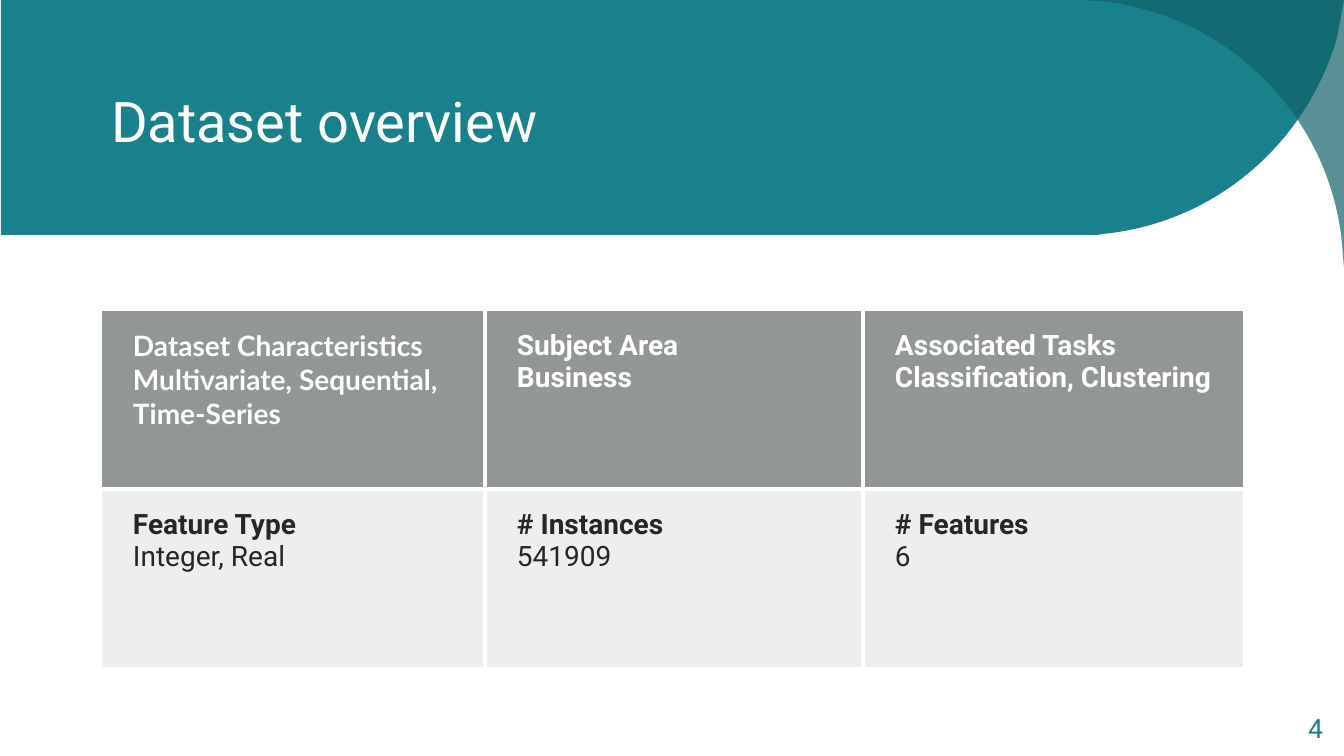
from lxml import etree
from pptx import Presentation
from pptx.dml.color import RGBColor
from pptx.enum.text import MSO_ANCHOR, MSO_AUTO_SIZE, PP_ALIGN
from pptx.oxml.ns import qn
from pptx.util import Pt

PX = 914400 / 100.8
MID, TOP = MSO_ANCHOR.MIDDLE, MSO_ANCHOR.TOP
LEFT, RIGHT = PP_ALIGN.LEFT, PP_ALIGN.RIGHT
NONE = MSO_AUTO_SIZE.NONE
HUE = {"teal": "18818C", "deep": "126169", "white": "FFFFFF",
       "ink": "262626", "head": "929795", "pale": "EDEEEE"}


def px(*nums):
    return [round(n * PX) for n in nums]


def write(frame, *lines, size=20, hue="white", font="Roboto",
          bold=(False, False), align=LEFT, anchor=TOP):
    """Fill a text frame with one paragraph per line; bold holds a flag per line."""
    frame.word_wrap = True
    frame.vertical_anchor = anchor
    for i, line in enumerate(lines):
        para = frame.paragraphs[0] if i == 0 else frame.add_paragraph()
        para.alignment = align
        run = para.add_run()
        run.text = line
        run.font.size = Pt(size)
        run.font.name = font
        run.font.bold = bold[i]
        run.font.color.rgb = RGBColor.from_string(HUE[hue])


deck = Presentation()
deck.slide_width, deck.slide_height = px(1344, 756)
slide = deck.slides.add_slide(deck.slide_layouts[5])

# Header shapes: straight corners, then one Bezier arc from the last corner
STEPS = 32
WAVES = [
    ("teal", 100, [(1344, 0), (1, 0), (1, 235), (1097, 235), (1103, 234)],
     [(1215, 223), (1306, 144), (1337, 38)]),
    ("deep", 70, [(1084, 0), (1344, 0), (1344, 268), (1342, 242)],
     [(1329, 115), (1227, 13), (1099, 1)]),
]
for hue, alpha, dots, bend in WAVES:
    a, b, c, d = dots[-1], *bend
    arc = []
    for k in range(1, STEPS + 1):
        t = k / STEPS
        u = 1 - t
        arc.append([u**3 * a[i] + 3 * u * u * t * b[i]
                    + 3 * u * t * t * c[i] + t**3 * d[i] for i in (0, 1)])
    path = [px(*dot) for dot in dots + arc]
    pen = slide.shapes.build_freeform(*path[0], scale=1.0)
    pen.add_line_segments(path[1:], close=True)
    wave = pen.convert_to_shape()
    wave.shadow.inherit = False
    wave.fill.solid()
    wave.fill.fore_color.rgb = RGBColor.from_string(HUE[hue])
    wave.line.fill.background()
    if alpha < 100:
        tint = wave.fill._xPr.find(qn("a:solidFill"))[0]
        etree.SubElement(tint, qn("a:alpha"), val=str(alpha * 1000))

title = slide.shapes.title
title.left, title.top, title.width, title.height = px(101, 49, 1093, 143)
title.text_frame.auto_size = NONE
write(title.text_frame, "Dataset overview", size=40, anchor=MID)
tree = slide.shapes._spTree
tree.remove(title._element)
tree.append(title._element)

page = slide.shapes.add_textbox(*px(1256, 710, 77, 40))
write(page.text_frame, "4", size=19, hue="teal", align=RIGHT, anchor=MID)
page.text_frame.paragraphs[0].line_spacing = 0.9
page.text_frame.paragraphs[0].space_after = Pt(6)

# Dataset facts
FACTS = [
    [("Dataset Characteristics", "Multivariate, Sequential, Time-Series"),
     ("Subject Area", "Business"),
     ("Associated Tasks", "Classification, Clustering")],
    [("Feature Type", "Integer, Real"),
     ("# Instances", "541909"),
     ("# Features", "6")],
]
LOOKS = [("head", "white", (True, True)), ("pale", "ink", (True, False))]
WIDTHS = px(384, 378, 381)
grid = slide.shapes.add_table(2, 3, *px(101, 310, 1143, 358)).table
grid.horz_banding = False
for col, wide in zip(grid.columns, WIDTHS):
    col.width = wide
for r, (row, look) in enumerate(zip(FACTS, LOOKS)):
    back, ink, bold = look
    grid.rows[r].height = px(179)[0]
    for c, lines in enumerate(row):
        cell = grid.cell(r, c)
        cell.fill.solid()
        cell.fill.fore_color.rgb = RGBColor.from_string(HUE[back])
        cell.margin_left = px(32)[0]
        cell.margin_top = cell.margin_right = cell.margin_bottom = px(19)[0]
        write(cell.text_frame, *lines, hue=ink, bold=bold,
              font="Lato" if r == c == 0 else "Roboto")
        edges = [("L", c > 0), ("R", c < 2), ("T", r > 0), ("B", r < 1)]
        sides = [side for side, inner in edges if inner]
        props = cell._tc.get_or_add_tcPr()
        for i, side in enumerate(sides):
            edge = etree.Element(qn("a:ln" + side), w=str(Pt(3)))
            fill = etree.SubElement(edge, qn("a:solidFill"))
            etree.SubElement(fill, qn("a:srgbClr"), val=HUE["white"])
            props.insert(i, edge)

deck.save("out.pptx")
